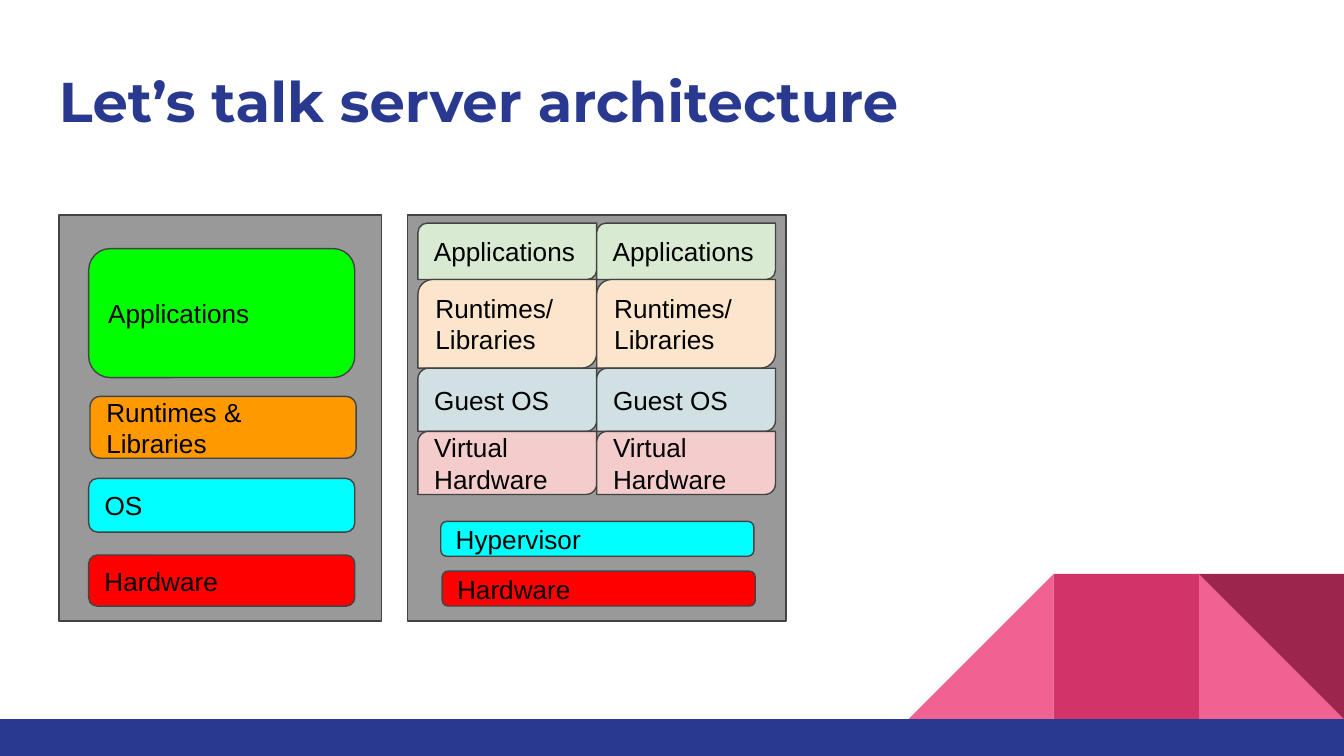
import pptx
import pptx.dml.color
import pptx.enum.shapes
import pptx.enum.text
import pptx.util

deck = pptx.Presentation()
deck.slide_width = pptx.util.Inches(10)
deck.slide_height = pptx.util.Inches(5.625)
page = deck.slides.add_slide(deck.slide_layouts[6])
column = deck.slide_width / 100
row = deck.slide_height / 56.25
shapes = pptx.enum.shapes.MSO_SHAPE


def color(hex_code):
    return pptx.dml.color.RGBColor.from_string(hex_code)


def block(kind, left, top, width, height, fill, label="", outlined=True):
    box = page.shapes.add_shape(
        kind, int(left * column), int(top * row), int(width * column), int(height * row))
    box.shadow.inherit = False
    box.fill.solid()
    box.fill.fore_color.rgb = color(fill)
    if outlined:
        box.line.color.rgb = color("434343")
        box.line.width = pptx.util.Pt(0.75)
    else:
        box.line.fill.background()
    if label:
        frame = box.text_frame
        frame.text = label
        frame.word_wrap = True
        frame.vertical_anchor = pptx.enum.text.MSO_ANCHOR.MIDDLE
        frame.margin_left = frame.margin_right = int(column)
        frame.margin_top = frame.margin_bottom = int(row)
        para = frame.paragraphs[0]
        para.alignment = pptx.enum.text.PP_ALIGN.LEFT
        span = para.runs[0]
        span.font.name = "Arial"
        span.font.size = pptx.util.Pt(14)
        span.font.color.rgb = color("000000")
    return box


tile = 10.8
for kind, position, turn, fill in [
    (shapes.RIGHT_TRIANGLE, 2, 0, "F06292"),
    (shapes.RIGHT_TRIANGLE, 0, 270, "F06292"),
    (shapes.RECTANGLE, 1, 0, "D23369"),
    (shapes.RIGHT_TRIANGLE, 2, 180, "9C254D"),
]:
    ornament = block(kind, 100 - (3 - position) * tile, 42.7, tile, tile, fill, outlined=False)
    ornament.rotation = turn
block(shapes.RECTANGLE, 0, 53.5, 100, 2.75, "2A3990", outlined=False)

title = page.shapes.add_textbox(int(3.4 * column), int(4.5 * row), int(93.2 * column), int(6.6 * row))
frame = title.text_frame
frame.word_wrap = True
frame.margin_left = frame.margin_right = int(column)
frame.margin_top = frame.margin_bottom = int(row)
frame.text = "Let’s talk server architecture"
para = frame.paragraphs[0]
para.line_spacing = 0.9
span = para.runs[0]
span.font.name = "Montserrat"
span.font.size = pptx.util.Pt(30)
span.font.bold = True
span.font.color.rgb = color("2A3990")

block(shapes.RECTANGLE, 30.3, 16, 28.2, 30.2, "999999")
block(shapes.ROUNDED_RECTANGLE, 32.9, 42.5, 23.3, 2.6, "FF0000", "Hardware")
block(shapes.ROUNDED_RECTANGLE, 32.8, 38.8, 23.3, 2.6, "00FFFF", "Hypervisor")

machine_width = 13.3
for machine in range(2):
    top = 16.6
    for label, height, fill in [
        ("Applications", 4.2, "D9EAD3"),
        ("Runtimes/Libraries", 6.6, "FCE5CD"),
        ("Guest OS", 4.7, "D0E0E3"),
        ("Virtual Hardware", 4.7, "F4CCCC"),
    ]:
        block(shapes.ROUND_2_DIAG_RECTANGLE, 31.1 + machine * machine_width, top,
              machine_width, height, fill, label)
        top += height

block(shapes.RECTANGLE, 4.4, 16, 24, 30.2, "999999")
for label, left, top, height, fill in [
    ("Hardware", 6.6, 41.3, 3.8, "FF0000"),
    ("OS", 6.6, 35.6, 4, "00FFFF"),
    ("Applications", 6.6, 18.5, 9.6, "00FF00"),
    ("Runtimes & Libraries", 6.7, 29.5, 4.6, "FF9900"),
]:
    block(shapes.ROUNDED_RECTANGLE, left, top, 19.8, height, fill, label)

deck.save("out.pptx")
